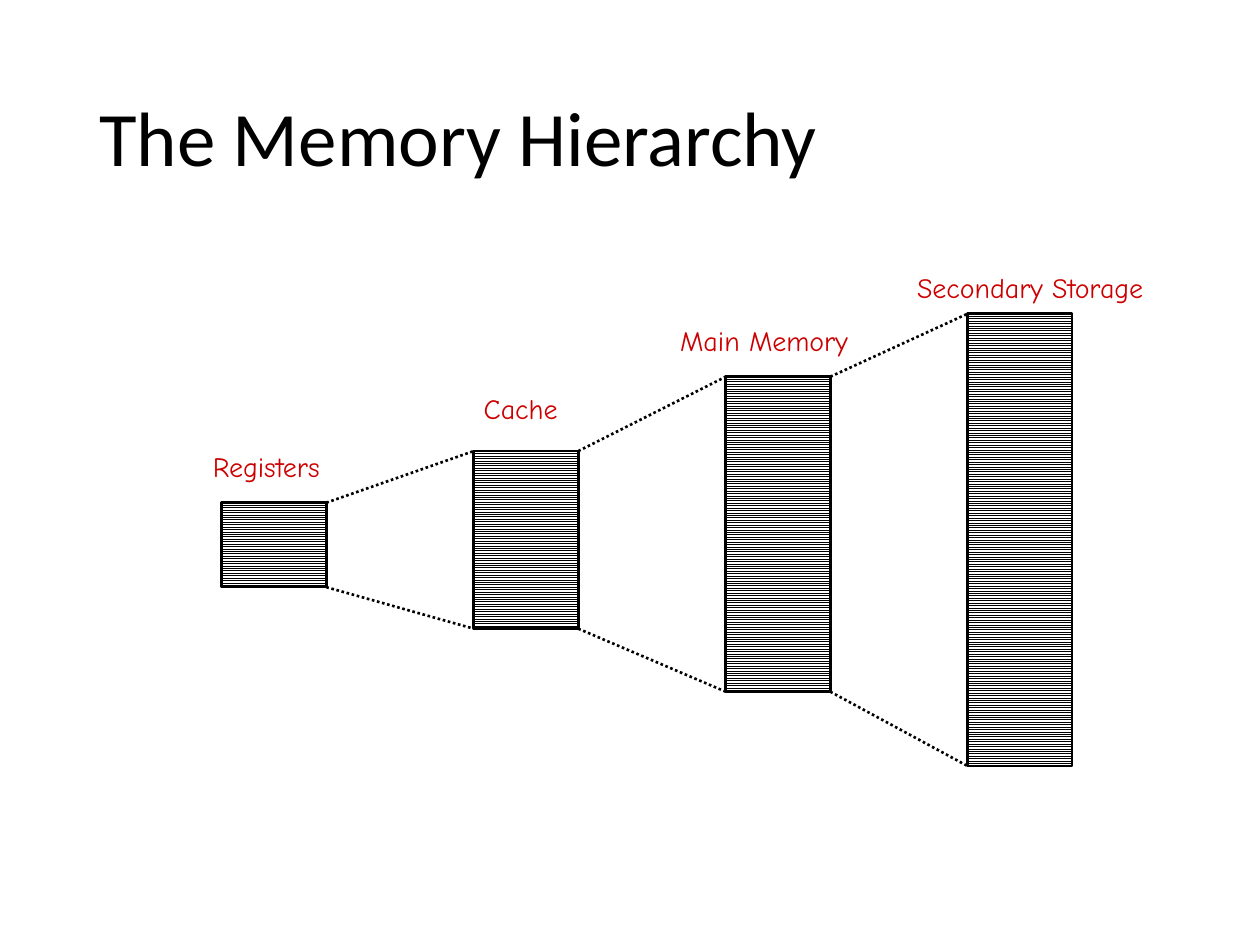
import itertools

import pptx
import pptx.dml.color
import pptx.enum.dml
import pptx.enum.shapes
import pptx.enum.text
import pptx.oxml.ns
import pptx.util
from pptx.util import Inches

BLACK, WHITE, RED = "000000", "FFFFFF", "CC0000"
LEVEL_WIDTH = 0.83

# Each level: name, bar (left, top, bottom), label (left, top, width)
LEVELS = [
    ("Registers", (1.76, 3.99, 4.66), (1.59, 3.52, 1.19)),
    ("Cache", (3.76, 3.58, 4.99), (3.74, 3.06, 0.81)),
    ("Main Memory", (5.76, 2.99, 5.49), (5.3, 2.52, 1.6)),
    ("Secondary Storage", (7.68, 2.49, 6.08), (7.18, 2.1, 2.21)),
]


def color(hex_string):
    return pptx.dml.color.RGBColor.from_string(hex_string)


def apply_format(target, values):
    for name, value in values.items():
        setattr(target, name, value)


def add_label(slide, words, box, font, hex_string, frame_format):
    label = slide.shapes.add_textbox(*map(Inches, box))
    apply_format(label.text_frame, frame_format)
    paragraph = label.text_frame.paragraphs[0]
    run = paragraph.add_run()
    run.text = words
    apply_format(run.font, font)
    run.font.color.rgb = color(hex_string)
    return paragraph


def add_level(slide, left, top, bottom):
    level = slide.shapes.add_shape(
        pptx.enum.shapes.MSO_SHAPE.RECTANGLE,
        *map(Inches, (left, top, LEVEL_WIDTH, bottom - top)))
    level.shadow.inherit = False
    level.fill.patterned()
    level.fill.pattern = pptx.enum.dml.MSO_PATTERN.LIGHT_HORIZONTAL
    level.fill.fore_color.rgb = color(BLACK)
    level.fill.back_color.rgb = color(WHITE)
    level.line.color.rgb = color(BLACK)
    level.line.width = pptx.util.Pt(1.5)


def add_dotted_line(slide, start, end):
    guide = slide.shapes.add_connector(
        pptx.enum.shapes.MSO_CONNECTOR.STRAIGHT, *map(Inches, start + end))
    guide.line.color.rgb = color(BLACK)
    apply_format(guide.line, {
        "width": pptx.util.Pt(1.5),
        "dash_style": pptx.enum.dml.MSO_LINE.ROUND_DOT,
    })
    # An empty effect list turns the theme shadow off
    properties = guide._element.spPr
    properties.append(properties.makeelement(
        pptx.oxml.ns.qn("a:effectLst"), {}))


def main():
    presentation = pptx.Presentation()
    apply_format(presentation, {
        "slide_width": Inches(10), "slide_height": Inches(7.5)})
    slide = presentation.slides.add_slide(presentation.slide_layouts[6])

    # Heading
    heading = add_label(
        slide, "The Memory Hierarchy", (0.69, 0.4, 8.62, 1.45),
        {"name": "Calibri", "size": pptx.util.Pt(44)}, BLACK,
        {"word_wrap": True,
         "vertical_anchor": pptx.enum.text.MSO_ANCHOR.MIDDLE})
    heading.line_spacing = 0.9

    # Memory levels with their names
    for name, bar, (left, top, width) in LEVELS:
        add_level(slide, *bar)
        add_label(
            slide, name, (left, top, width, 0.37),
            {"name": "Comic Neue", "size": pptx.util.Pt(16)}, RED,
            {"word_wrap": False,
             "auto_size": pptx.enum.text.MSO_AUTO_SIZE.SHAPE_TO_FIT_TEXT})

    # Dotted lines from each level to the next larger one
    for (_, smaller, _), (_, larger, _) in itertools.pairwise(LEVELS):
        for edge in (1, 2):
            add_dotted_line(slide, (smaller[0] + LEVEL_WIDTH, smaller[edge]),
                            (larger[0], larger[edge]))

    presentation.save("out.pptx")


main()
